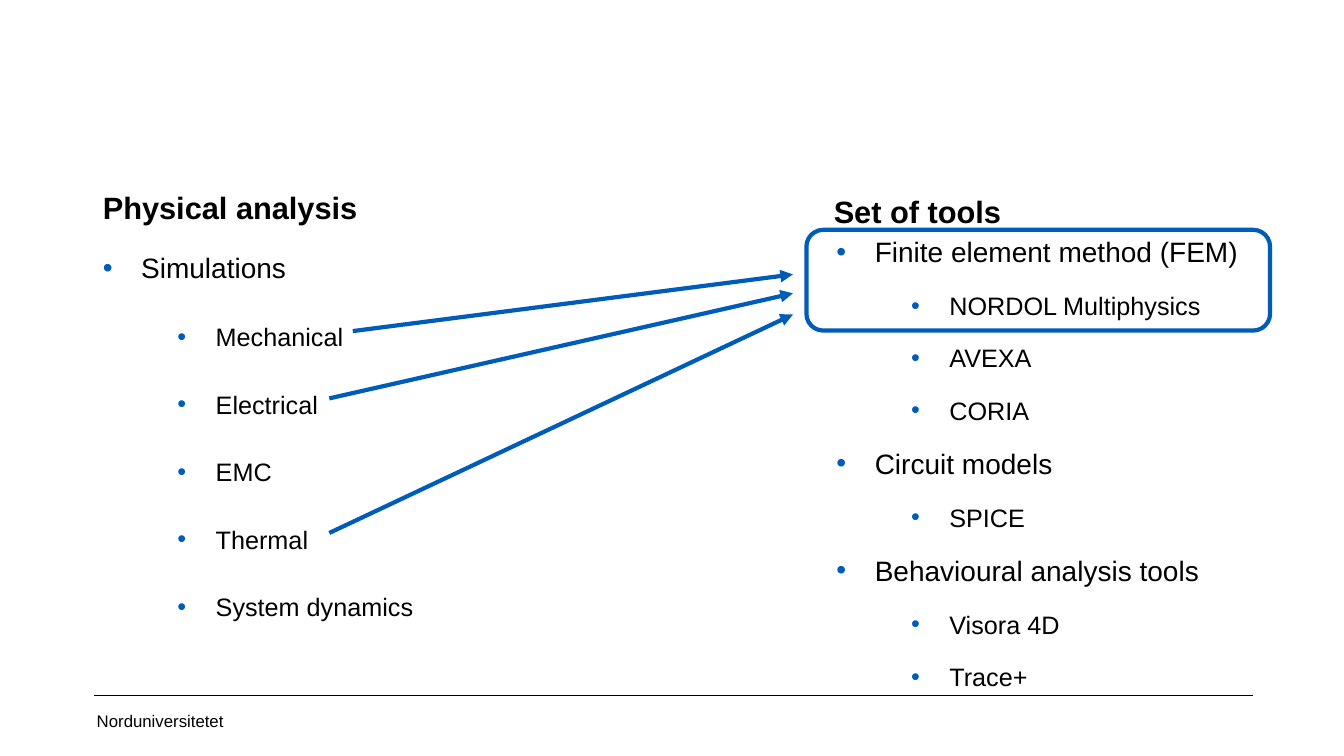
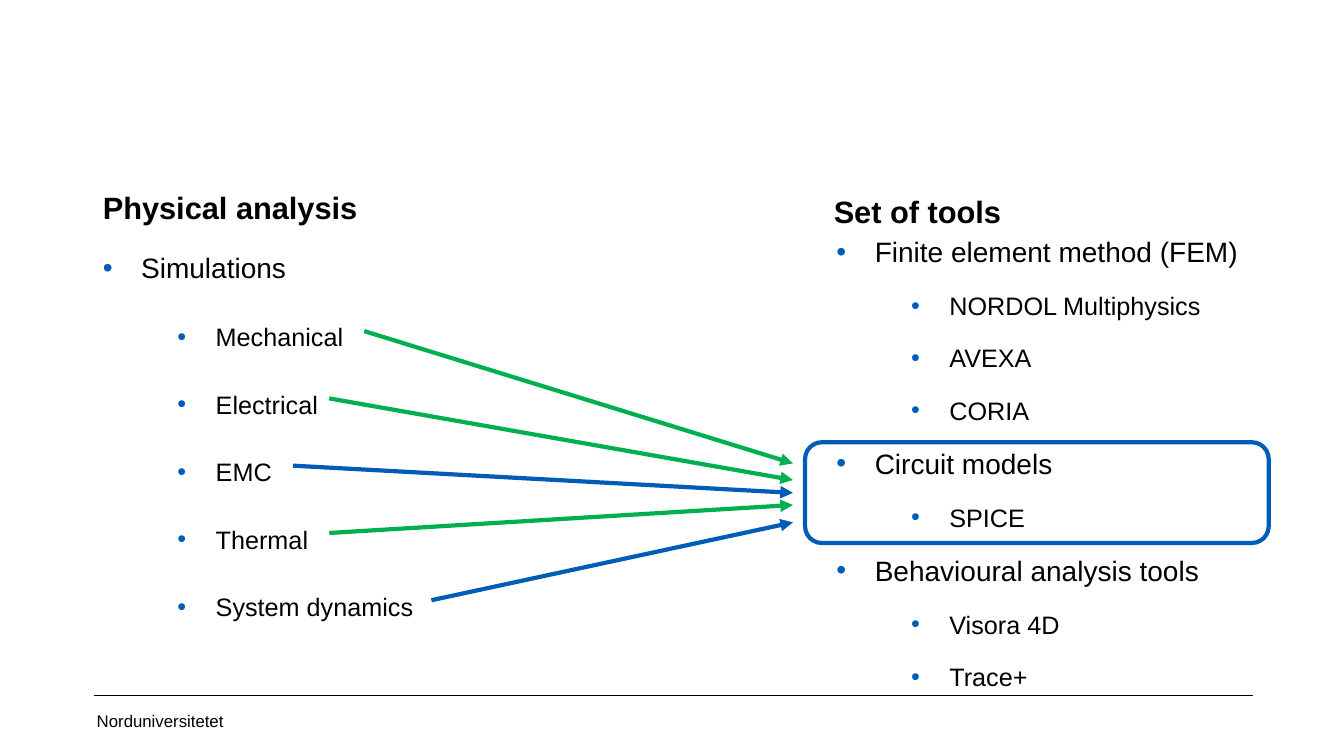
"""Build two slides that link physical analyses to sets of tools."""
from pptx import Presentation
from pptx.dml.color import RGBColor
from pptx.enum.shapes import MSO_CONNECTOR, MSO_SHAPE
from pptx.enum.text import MSO_ANCHOR, MSO_AUTO_SIZE, PP_ALIGN
from pptx.oxml.ns import qn
from pptx.util import Inches, Pt
from lxml import etree

LINE, ROUND = MSO_CONNECTOR.STRAIGHT, MSO_SHAPE.ROUNDED_RECTANGLE
TOP, MIDDLE = MSO_ANCHOR.TOP, MSO_ANCHOR.MIDDLE
FIXED, LEFT = MSO_AUTO_SIZE.NONE, PP_ALIGN.LEFT

WIDE, HIGH = Inches(13.33), Inches(7.5)
HUES = {"ink": "000000", "blue": "005CB9", "green": "00B050"}
FACE = "Arial"

FRAME = {"word_wrap": True, "auto_size": FIXED, "vertical_anchor": TOP}
FOOT = {"vertical_anchor": MIDDLE, "margin_left": Inches(0.04)}
HEAD = {"size": Pt(22), "bold": True}
FONTS = [{"size": Pt(20), "bold": False}, {"size": Pt(18), "bold": False}]
GAPS = [{"space_before": Pt(15), "space_after": Pt(0), "line_spacing": 1.0},
        {"space_before": Pt(5), "space_after": Pt(0)}]
INDENT, HANG = [0.38, 1.12], 0.38

TESTS = [(0, "Simulations"), (1, "Mechanical"), (1, "Electrical"),
         (1, "EMC"), (1, "Thermal"), (1, "System dynamics")]
TOOLS = [(0, "Finite element method (FEM)"), (1, "NORDOL Multiphysics"),
         (1, "AVEXA"), (1, "CORIA"), (0, "Circuit models"), (1, "SPICE"),
         (0, "Behavioural analysis tools"), (1, "Visora 4D"), (1, "Trace+")]

ROW, STEP, TIP = 43.8, 8.9, 59
SLIDES = [
    {"box": (60, 30.4),
     "links": [(0, 26.25, 36.3, "blue"), (1, 24.5, 38.8, "blue"),
               (3, 24.5, 41.6, "blue")]},
    {"box": (59.9, 58.5),
     "links": [(2, 21.8, 65.2, "blue"), (3, 24.5, 66.8, "green"),
               (4, 32.1, 69.1, "blue"), (1, 24.5, 63.5, "green"),
               (0, 27.1, 61.3, "green")]},
]


def across(share):
    """Turn a percentage of the slide's width into a length."""
    return round(WIDE * share / 100)


def down(share):
    """Turn a percentage of the slide's height into a length."""
    return round(HIGH * share / 100)


def area(x, y, w, h):
    """Turn four percentages into left, top, width and height."""
    return across(x), down(y), across(w), down(h)


def apply(item, style):
    """Set every attribute in the style on the item."""
    for name, value in style.items():
        setattr(item, name, value)


def place(shape, box):
    """Move a placeholder to the given area."""
    apply(shape, dict(zip(("left", "top", "width", "height"), area(*box))))


def write(para, text, style):
    """Write one run of black text."""
    run = para.add_run()
    run.text = text
    apply(run.font, {"name": FACE, **style})
    run.font.color.rgb = RGBColor.from_string(HUES["ink"])


def bullet(para, level):
    """Give a paragraph its indent and blue bullet."""
    props = para._p.get_or_add_pPr()
    props.set("marL", str(Inches(INDENT[level])))
    props.set("indent", str(-Inches(HANG)))
    hue = etree.SubElement(props, qn("a:buClr"))
    etree.SubElement(hue, qn("a:srgbClr"), val=HUES["blue"])
    etree.SubElement(props, qn("a:buFont"), typeface=FACE)
    etree.SubElement(props, qn("a:buChar"), char="•")


def head(shape, text):
    """Fill a shape with a bold heading."""
    apply(shape.text_frame, FRAME)
    para = shape.text_frame.paragraphs[0]
    apply(para, {"alignment": LEFT, "line_spacing": Pt(36)})
    write(para, text, HEAD)


def fill(shape, items, space):
    """Fill a shape with a bulleted list of two levels."""
    frame = shape.text_frame
    apply(frame, FRAME)
    for i, (level, text) in enumerate(items):
        para = frame.add_paragraph() if i else frame.paragraphs[0]
        apply(para, {"level": level, "alignment": LEFT,
                     "line_spacing": space, **GAPS[level]})
        bullet(para, level)
        write(para, text, FONTS[level])


def stroke(shape, hue, width):
    """Set a shape's line colour and width."""
    shape.line.color.rgb = RGBColor.from_string(HUES[hue])
    shape.line.width = Pt(width)


def link(slide, start, end, hue, width, arrow=True):
    """Draw a straight line, with an arrowhead if wanted."""
    line = slide.shapes.add_connector(
        LINE, across(start[0]), down(start[1]), across(end[0]), down(end[1]))
    stroke(line, hue, width)
    if arrow:
        etree.SubElement(line.line._get_or_add_ln(), qn("a:tailEnd"),
                         type="triangle")
    etree.SubElement(line.element.spPr, qn("a:effectLst"))
    return line


def mark(slide, x, y):
    """Draw the rounded outline around a group of tools."""
    ring = slide.shapes.add_shape(ROUND, *area(x, y, 34.5, 13.33))
    ring.shadow.inherit = False
    ring.fill.background()
    stroke(ring, "blue", 3)


def footer(slide):
    """Put the footer and its rule on the slide's layout."""
    note = slide.shapes.add_textbox(*area(6.9, 92.7, 22.5, 5.3))
    apply(note.text_frame, {**FRAME, **FOOT})
    write(note.text_frame.paragraphs[0], "Norduniversitetet", {"size": Pt(12)})
    rule = link(slide, (7, 92), (93.2, 92), "ink", 0.25, False)
    for shape in (note, rule):
        slide.slide_layout.shapes.element.append(shape.element)


def build(slide, box, links):
    """Build one slide with both lists, the outline and the arrows."""
    title, body = slide.shapes.title, slide.placeholders[1]
    place(title, (6.9, 22.5, 25.3, 9.5))
    head(title, "Physical analysis")
    place(body, (6.9, 32.5, 42.5, 57.5))
    fill(body, TESTS, 2.0)
    head(slide.shapes.add_textbox(*area(61.3, 23.1, 25.3, 9.5)), "Set of tools")
    fill(slide.shapes.add_textbox(*area(61.5, 30.4, 33.7, 57.5)), TOOLS, 1.5)
    mark(slide, *box)
    for row, x, y, hue in links:
        link(slide, (x, ROW + STEP * row), (TIP, y), hue, 3)


def main():
    """Build and save the deck."""
    deck = Presentation()
    apply(deck, {"slide_width": WIDE, "slide_height": HIGH})
    layout = deck.slide_layouts[1]
    for i, data in enumerate(SLIDES):
        slide = deck.slides.add_slide(layout)
        if not i:
            footer(slide)
        build(slide, **data)
    deck.save("out.pptx")


if __name__ == "__main__":
    main()
